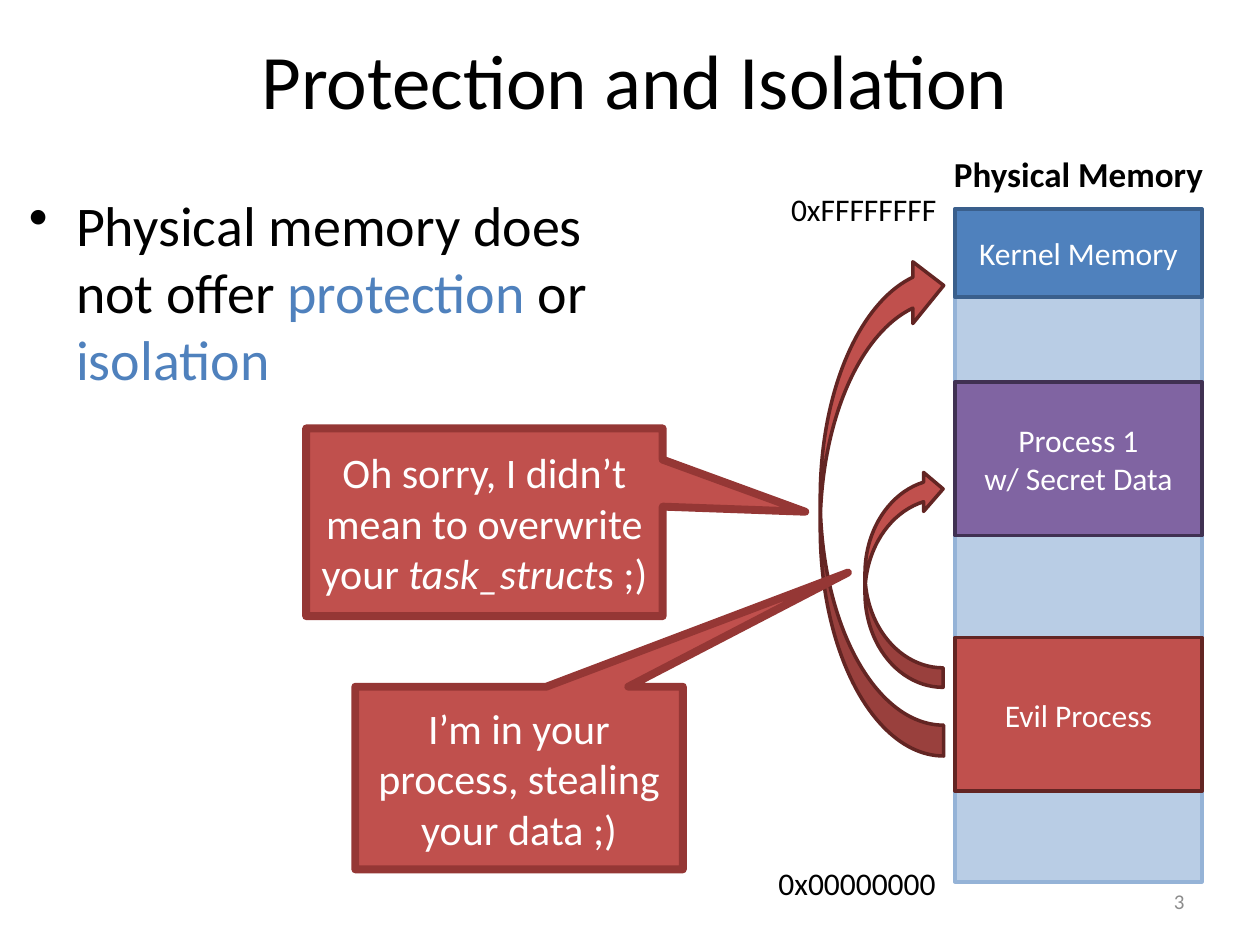
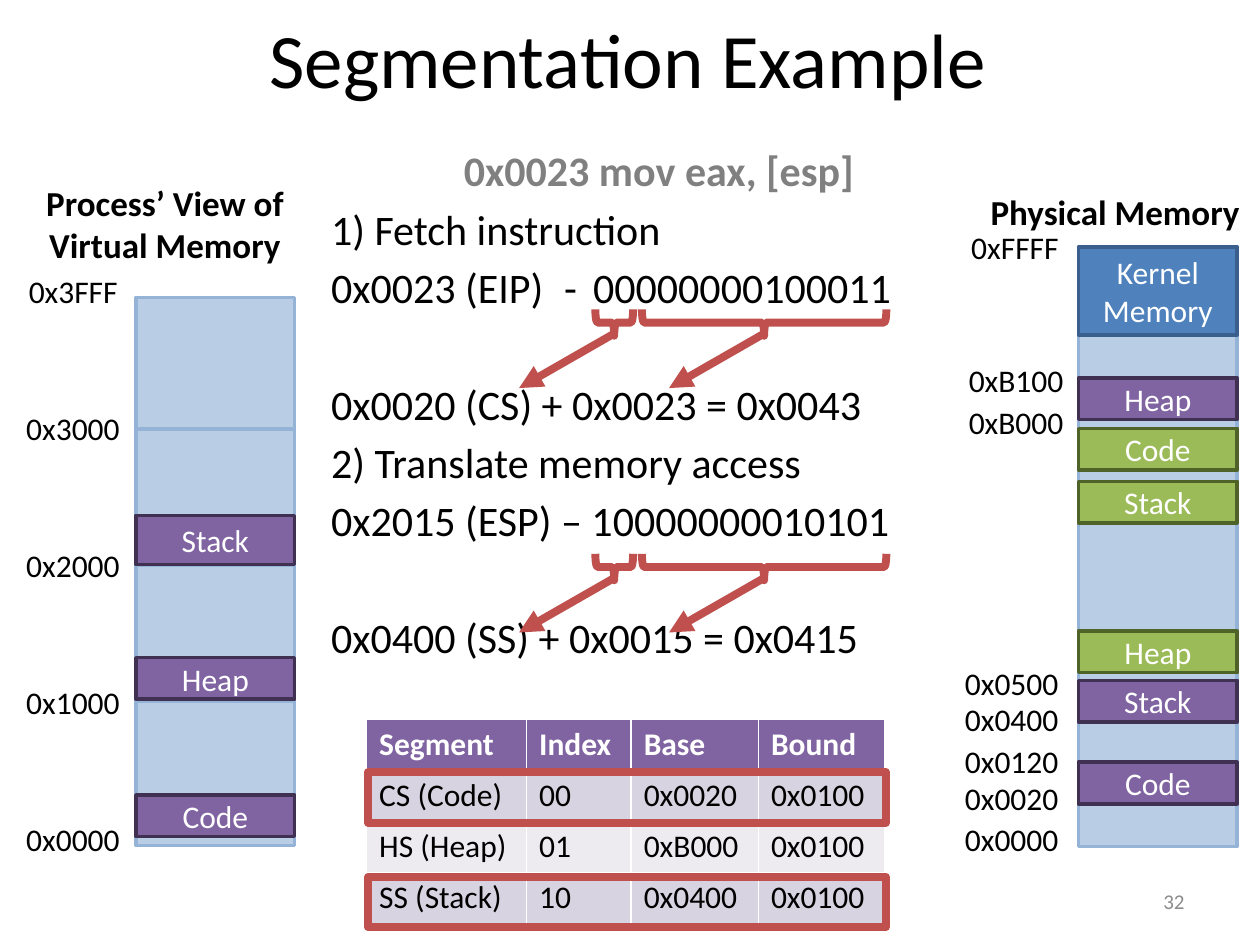
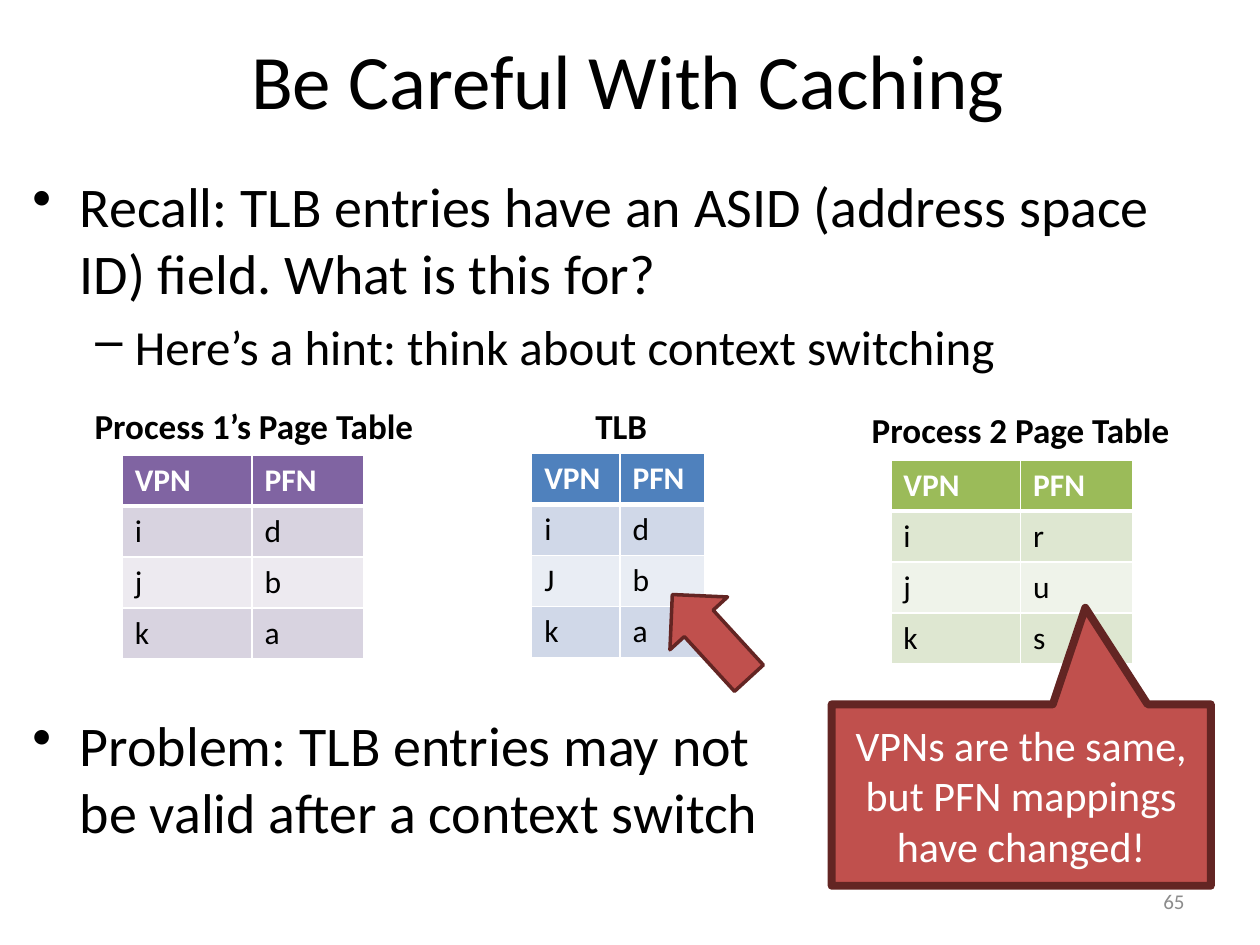
from dataclasses import dataclass
from itertools import pairwise
from typing import NamedTuple, Optional

import pptx
import pptx.dml.color
import pptx.enum.shapes
import pptx.enum.text
import pptx.oxml
import pptx.oxml.ns
import pptx.util
from lxml import etree

RGB = pptx.dml.color.RGBColor
SHAPE = pptx.enum.shapes.MSO_SHAPE
ALIGN = pptx.enum.text.PP_ALIGN
ANCHOR = pptx.enum.text.MSO_ANCHOR
Pt = pptx.util.Pt
qn = pptx.oxml.ns.qn

WIDTH = pptx.util.Inches(10)
HEIGHT = pptx.util.Inches(7.5)
COLUMNS = 100
ROWS = 75

FONT = "Calibri"
BLACK = RGB(0x00, 0x00, 0x00)
WHITE = RGB(0xFF, 0xFF, 0xFF)
FOOTER_GRAY = RGB(0x8C, 0x8C, 0x8C)
CODE_GRAY = RGB(0x80, 0x80, 0x80)
BLUE = RGB(0x4F, 0x81, 0xBD)
BLUE_EDGE = RGB(0x3A, 0x5F, 0x8C)
PALE_BLUE = RGB(0xB9, 0xCD, 0xE5)
PALE_BLUE_EDGE = RGB(0x95, 0xB3, 0xD7)
PURPLE = RGB(0x80, 0x64, 0xA2)
PURPLE_EDGE = RGB(0x40, 0x31, 0x52)
GREEN = RGB(0x9B, 0xBB, 0x59)
GREEN_EDGE = RGB(0x4F, 0x62, 0x28)
RED = RGB(0xC0, 0x50, 0x4D)
RED_EDGE = RGB(0x95, 0x37, 0x35)
DARK_RED_EDGE = RGB(0x63, 0x25, 0x23)


class Area(NamedTuple):
    column: float
    row: float
    columns: float
    rows: float


class Look(NamedTuple):
    fill: Optional[RGB]
    edge: RGB
    weight: float = 2


class Bands(NamedTuple):
    header: RGB
    odd: RGB
    even: RGB


class Span(NamedTuple):
    text: str
    color: Optional[RGB] = None
    italic: bool = False


class Bullet(NamedTuple):
    mark: str
    left: float
    hanging: float


@dataclass(frozen=True)
class Line:
    spans: tuple[Span, ...]
    size: float = 18
    color: RGB = BLACK
    bold: bool = False
    align: ALIGN = ALIGN.LEFT
    before: float = 0
    bullet: Optional[Bullet] = None
    tabs: tuple[float, ...] = ()


@dataclass(frozen=True)
class Block:
    label: str
    row: float
    rows: float
    look: Look


FREE = Look(PALE_BLUE, PALE_BLUE_EDGE)
KERNEL = Look(BLUE, BLUE_EDGE)
OWN = Look(PURPLE, PURPLE_EDGE)
OTHER = Look(GREEN, GREEN_EDGE)
EVIL = Look(RED, DARK_RED_EDGE)
TAUNT = Look(RED, RED_EDGE, 4.5)
WARNING = Look(RED, DARK_RED_EDGE, 4.5)
MARKER = Look(None, RED, 4.5)

PURPLE_BANDS = Bands(PURPLE, RGB(0xD8, 0xD3, 0xE0), RGB(0xED, 0xEA, 0xF0))
GREEN_BANDS = Bands(GREEN, RGB(0xDE, 0xE7, 0xD1), RGB(0xEF, 0xF3, 0xEA))
BLUE_BANDS = Bands(BLUE, RGB(0xD0, 0xD8, 0xE8), RGB(0xE9, 0xED, 0xF4))

POINT = Bullet("•", 3.75, 3.75)
SUBPOINT = Bullet("–", 8.13, 3.13)
TABLE_ROW = 4.05


def across(columns: float) -> int:
    return round(WIDTH * columns / COLUMNS)


def down(rows: float) -> int:
    return round(HEIGHT * rows / ROWS)


def place(area: Area) -> tuple[int, int, int, int]:
    return across(area.column), down(area.row), across(area.columns), down(area.rows)


def plain(text: str, **style) -> Line:
    return Line((Span(text),), **style)


def set_layout(paragraph, line: Line) -> None:
    properties = paragraph._p.get_or_add_pPr()
    if line.bullet:
        properties.set("marL", str(across(line.bullet.left)))
        properties.set("indent", str(-across(line.bullet.hanging)))
        etree.SubElement(properties, qn("a:buChar")).set("char", line.bullet.mark)
    if line.tabs:
        stops = etree.SubElement(properties, qn("a:tabLst"))
        for stop in line.tabs:
            etree.SubElement(stops, qn("a:tab"), pos=str(across(stop)), algn="l")
    paragraph.alignment = line.align
    paragraph.space_before = Pt(line.before)


def write(frame, lines: list[Line], anchor: ANCHOR = ANCHOR.TOP, wrap: bool = True) -> None:
    frame.word_wrap = wrap
    frame.vertical_anchor = anchor
    for index, line in enumerate(lines):
        paragraph = frame.add_paragraph() if index else frame.paragraphs[0]
        set_layout(paragraph, line)
        paragraph.text = line.spans[0].text
        for span in line.spans[1:]:
            paragraph.add_run().text = span.text
        for run, span in zip(paragraph.runs, line.spans):
            run.font.name = FONT
            run.font.size = Pt(line.size)
            run.font.bold = line.bold
            run.font.italic = span.italic
            run.font.color.rgb = span.color or line.color


def add_text(slide, area: Area, lines: list[Line], anchor: ANCHOR = ANCHOR.TOP,
             wrap: bool = True) -> None:
    write(slide.shapes.add_textbox(*place(area)).text_frame, lines, anchor, wrap)


def add_label(slide, area: Area, *texts: str, size: float = 18, bold: bool = False) -> None:
    align = ALIGN.CENTER if bold else ALIGN.LEFT
    add_text(slide, area, [plain(text, size=size, bold=bold, align=align) for text in texts],
             wrap=False)


def add_heading(slide, area: Area, *texts: str) -> None:
    add_label(slide, area, *texts, size=20, bold=True)


def add_figure(slide, kind: SHAPE, area: Area, look: Look, rotation: float = 0):
    figure = slide.shapes.add_shape(kind, *place(area))
    figure.shadow.inherit = False
    figure.rotation = rotation
    if look.fill is None:
        figure.fill.background()
    else:
        figure.fill.solid()
        figure.fill.fore_color.rgb = look.fill
    figure.line.color.rgb = look.edge
    figure.line.width = Pt(look.weight)
    return figure


def add_blocks(slide, column: float, columns: float, blocks: list[Block]) -> None:
    for block in blocks:
        area = Area(column, block.row, columns, block.rows)
        figure = add_figure(slide, SHAPE.RECTANGLE, area, block.look)
        if block.label:
            write(figure.text_frame,
                  [plain(text, color=WHITE, align=ALIGN.CENTER)
                   for text in block.label.split("\n")], ANCHOR.MIDDLE)


def add_callout(slide, area: Area, tip: tuple[float, float], look: Look, *spans: Span) -> None:
    callout = add_figure(slide, SHAPE.RECTANGULAR_CALLOUT, area, look)
    callout.adjustments[0], callout.adjustments[1] = tip
    write(callout.text_frame, [Line(spans, 24, WHITE, align=ALIGN.CENTER)], ANCHOR.MIDDLE)


def add_arrow(slide, start: tuple[float, float], end: tuple[float, float]) -> None:
    arrow = slide.shapes.add_connector(
        pptx.enum.shapes.MSO_CONNECTOR.STRAIGHT,
        across(start[0]), down(start[1]), across(end[0]), down(end[1]))
    arrow.line.color.rgb = RED
    arrow.line.width = Pt(4.5)
    properties = arrow.element.spPr
    etree.SubElement(properties.find(qn("a:ln")), qn("a:tailEnd")).set("type", "triangle")
    etree.SubElement(properties, qn("a:effectLst"))


def add_borders(cell, row: int) -> None:
    properties = cell._tc.get_or_add_tcPr()
    weights = {"lnL": 1, "lnR": 1, "lnT": 3 if row == 1 else 1, "lnB": 3 if row == 0 else 1}
    for side, weight in weights.items():
        border = etree.SubElement(properties, qn(f"a:{side}"), w=str(Pt(weight)))
        fill = etree.SubElement(border, qn("a:solidFill"))
        etree.SubElement(fill, qn("a:srgbClr")).set("val", str(WHITE))


def add_grid(slide, column: float, row: float, widths: list[float], bands: Bands,
             records: list[list[str]]) -> None:
    area = Area(column, row, sum(widths), TABLE_ROW * len(records))
    table = slide.shapes.add_table(len(records), len(widths), *place(area)).table
    table.horz_banding = False
    for table_column, width in zip(table.columns, widths):
        table_column.width = across(width)
    for index, record in enumerate(records):
        table.rows[index].height = down(TABLE_ROW)
        header = index == 0
        shade = bands.header if header else bands.odd if index % 2 else bands.even
        for cell, text in zip(table.rows[index].cells, record):
            add_borders(cell, index)
            cell.fill.solid()
            cell.fill.fore_color.rgb = shade
            write(cell.text_frame,
                  [plain(text, color=WHITE if header else BLACK, bold=header)])


def start_slide(deck, title: str, number: int, area: Area):
    slide = deck.slides.add_slide(deck.slide_layouts[6])
    add_text(slide, area, [plain(title, size=44, align=ALIGN.CENTER)], ANCHOR.MIDDLE)
    add_text(slide, Area(71.7, 69.5, 23.3, 4),
             [plain(str(number), size=12, color=FOOTER_GRAY, align=ALIGN.RIGHT)], ANCHOR.MIDDLE)
    return slide


def build_protection(deck) -> None:
    slide = start_slide(deck, "Protection and Isolation", 3, Area(5.4, 0, 90, 12.5))
    add_text(slide, Area(1.3, 14.6, 48.9, 49.5), [Line((
        Span("Physical memory does not offer "), Span("protection", BLUE),
        Span(" or "), Span("isolation", BLUE)), 32, bullet=POINT)])
    add_heading(slide, Area(74.6, 11.6, 22, 4.4), "Physical Memory")
    add_label(slide, Area(60.8, 68.1, 14.6, 4), "0x00000000")
    add_label(slide, Area(61.8, 14.6, 13.6, 4), "0xFFFFFFFF")
    add_blocks(slide, 75.8, 19.6, [
        Block("", 16.6, 53.4, FREE),
        Block("Kernel Memory", 16.6, 7, KERNEL),
        Block("Process 1\nw/ Secret Data", 30.3, 12.2, OWN),
        Block("Evil Process", 50.6, 12.2, EVIL)])
    for reach in (Area(63.1, 42.8, 17.3, 6.2), Area(50.1, 35.2, 39.8, 9.8)):
        add_figure(slide, SHAPE.CURVED_DOWN_ARROW, reach, EVIL, 270)
    add_callout(slide, Area(28.2, 54.5, 26, 14.5), (1.004, -1.125), TAUNT,
                Span("I’m in your process, stealing your data ;)"))
    add_callout(slide, Area(24.3, 34, 28.3, 14.9), (0.9, -0.056), TAUNT,
                Span("Oh sorry, I didn’t mean to overwrite your "),
                Span("task_struct", italic=True), Span("s ;)"))


def add_virtual_memory(slide) -> None:
    add_heading(slide, Area(2.6, 13.9, 21, 7.7), "Process’ View of", "Virtual Memory")
    add_label(slide, Area(1.3, 21.1, 9.1, 4), "0x3FFF")
    for page in range(4):
        add_label(slide, Area(1.1, 64.6 - 10.87 * page, 9.5, 4), f"0x{page}000")
    bounds = (23.6, 34.05, 44.85, 55.65, 67.1)
    add_blocks(slide, 10.8, 12.6, [
        *(Block("", top, bottom - top, FREE) for top, bottom in pairwise(bounds)),
        Block("Stack", 40.9, 3.9, OWN),
        Block("Heap", 52.2, 3.3, OWN),
        Block("Code", 63.1, 3.3, OWN)])


def add_physical_memory(slide) -> None:
    add_heading(slide, Area(77.5, 14.6, 22, 4.4), "Physical Memory")
    add_blocks(slide, 85.6, 12.6, [
        Block("", 19.6, 47.6, FREE),
        Block("Kernel Memory", 19.6, 7, KERNEL),
        Block("Heap", 30, 3.3, OWN),
        Block("Code", 34, 3.3, OTHER),
        Block("Stack", 38.2, 3.3, OTHER),
        Block("Heap", 50.1, 3.3, OTHER),
        Block("Stack", 54, 3.3, OWN),
        Block("Code", 60.5, 3.3, OWN)])
    for address, column, row in (
            ("0xFFFF", 76.1, 17.6), ("0xB100", 75.9, 28.2), ("0xB000", 75.9, 31.5),
            ("0x0500", 75.6, 52.2), ("0x0400", 75.6, 55.1), ("0x0120", 75.6, 58.4),
            ("0x0020", 75.6, 61.3), ("0x0000", 75.6, 64.6)):
        add_label(slide, Area(column, row, 9.5, 4), address)


def build_segmentation(deck) -> None:
    slide = start_slide(deck, "Segmentation Example", 32, Area(0.5, 0, 98.7, 9.2))
    add_virtual_memory(slide)
    add_physical_memory(slide)
    add_grid(slide, 29.1, 57.1, [12.7, 8.3, 10.1, 10], PURPLE_BANDS, [
        ["Segment", "Index", "Base", "Bound"],
        ["CS (Code)", "00", "0x0020", "0x0100"],
        ["HS (Heap)", "01", "0xB000", "0x0100"],
        ["SS (Stack)", "10", "0x0400", "0x0100"]])
    step, result = 4.5, 38
    add_text(slide, Area(25.3, 11, 54, 52.8), [
        plain("0x0023 mov eax, [esp]", size=24, color=CODE_GRAY, bold=True, align=ALIGN.CENTER),
        plain("1) Fetch instruction", size=24, before=step),
        plain("0x0023 (EIP)\t-\t00000000100011", size=24, before=step, tabs=(18.5, 20.8)),
        plain("0x0020 (CS) + 0x0023 = 0x0043", size=24, before=result),
        plain("2) Translate memory access", size=24, before=step),
        plain("0x2015 (ESP) – 10000000010101", size=24, before=step),
        plain("0x0400 (SS) + 0x0015 = 0x0415", size=24, before=result)])
    for offset in (0, 19.4):
        for column, row, rows in ((47.7, 24.1, 3), (59.6, 15.9, 19.4)):
            add_figure(slide, SHAPE.LEFT_BRACE, Area(column, row + offset, 2.1, rows),
                       MARKER, 270)
        for column in (48.7, 60.6):
            add_arrow(slide, (column, 26.5 + offset), (column - 7.5, 30.8 + offset))
    for row in (61.3, 69.6):
        add_figure(slide, SHAPE.RECTANGLE, Area(29.2, row, 41.1, 4), MARKER)


def build_caching(deck) -> None:
    slide = start_slide(deck, "Be Careful With Caching", 65, Area(0.5, 0, 98.7, 12.5))
    add_text(slide, Area(1.6, 13.1, 96.3, 18.3), [
        plain("Recall: TLB entries have an ASID (address space ID) field. What is this for?",
              size=32, bullet=POINT),
        plain("Here’s a hint: think about context switching",
              size=28, before=6, bullet=SUBPOINT)])
    add_heading(slide, Area(6.4, 31.6, 27.5, 4.4), "Process 1’s Page Table")
    add_heading(slide, Area(46.2, 31.6, 6.2, 4.4), "TLB")
    add_heading(slide, Area(68.1, 31.9, 25.8, 4.4), "Process 2 Page Table")
    for column, row, widths, bands, pages, frames in (
            (9.7, 36.1, [10.3, 8.9], PURPLE_BANDS, "ijk", "dba"),
            (70.7, 36.5, [10.3, 8.9], GREEN_BANDS, "ijk", "rus"),
            (42.2, 36, [7, 6.7], BLUE_BANDS, "iJk", "dba")):
        add_grid(slide, column, row, widths, bands,
                 [["VPN", "PFN"], *map(list, zip(pages, frames))])
    add_figure(slide, SHAPE.RIGHT_ARROW, Area(51.9, 47.4, 9, 6.2), EVIL, 227.5)
    add_callout(slide, Area(66, 55.9, 30.1, 14.4), (0.169, -1.032), WARNING,
                Span("VPNs are the same, but PFN mappings have changed!"))
    add_text(slide, Area(1.6, 55.9, 61.4, 16.3), [
        plain("Problem: TLB entries may not be valid after a context switch",
              size=32, bullet=POINT)])


def main() -> None:
    deck = pptx.Presentation()
    deck.slide_width = WIDTH
    deck.slide_height = HEIGHT
    build_protection(deck)
    build_segmentation(deck)
    build_caching(deck)
    deck.save("out.pptx")


if __name__ == "__main__":
    main()
